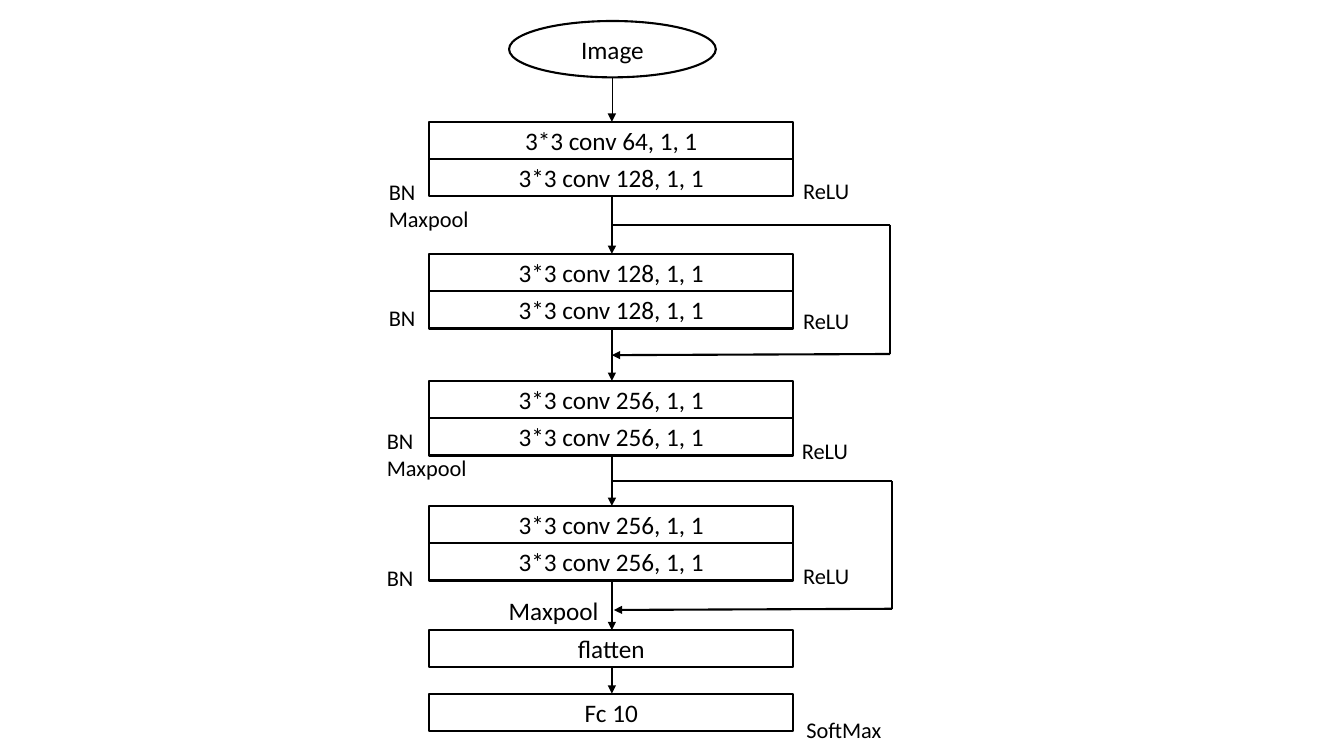
"""Draw a residual convolutional network as a vertical flow chart."""
from lxml.etree import SubElement
from pptx import Presentation
from pptx.dml.color import RGBColor
from pptx.enum.shapes import MSO_CONNECTOR as Link, MSO_SHAPE as Preset
from pptx.enum.text import MSO_ANCHOR as Anchor, MSO_AUTO_SIZE as Fit, PP_ALIGN as Align
from pptx.oxml.ns import qn
from pptx.util import Cm, Pt

THEME = {
    "ink": RGBColor(0, 0, 0),
    "paper": RGBColor(255, 255, 255),
    "font": "Calibri",
    "layer": Pt(18),
    "label": Pt(16),
    "line": Pt(1.5),
    "thin": Pt(0.5),
}
CENTER, LAYER_WIDTH, LAYER_HEIGHT = 15.42, 9.17, 0.94
LAYER_LEFT = 10.82

deck = Presentation()
deck.slide_width, deck.slide_height = Cm(33.87), Cm(19.05)
page = deck.slides.add_slide(deck.slide_layouts[6])


def write(box, text, size, align, frame_format):
    frame = box.text_frame
    for name, value in frame_format.items():
        setattr(frame, name, value)
    frame.text = text
    font_format = {"name": THEME["font"], "size": size}
    for para in frame.paragraphs:
        para.alignment = align
        for span in para.runs:
            for name, value in font_format.items():
                setattr(span.font, name, value)
            span.font.color.rgb = THEME["ink"]


def connect(start, end, arrow=True, width=THEME["line"]):
    line = page.shapes.add_connector(Link.STRAIGHT, *map(Cm, start + end))
    line.line.color.rgb = THEME["ink"]
    line.line.width = width
    if arrow:
        SubElement(line.line._get_or_add_ln(), qn("a:tailEnd"), type="triangle")
    SubElement(line._element.spPr, qn("a:effectLst"))


blocks = [
    (3.07, ["3*3 conv 64, 1, 1", "3*3 conv 128, 1, 1"]),
    (6.4, ["3*3 conv 128, 1, 1"] * 2),
    (9.6, ["3*3 conv 256, 1, 1"] * 2),
    (12.75, ["3*3 conv 256, 1, 1"] * 2),
    (15.88, ["flatten"]),
    (17.48, ["Fc 10"]),
]
image_top, image_height = 0.53, 1.42
nodes = [(Preset.OVAL, "Image", 12.83, image_top, 5.21, image_height)]
flows = []
bottom = image_top + image_height
for top, layers in blocks:
    flows.append((bottom, top))
    for row, layer in enumerate(layers):
        nodes.append((Preset.RECTANGLE, layer, LAYER_LEFT, top + row * LAYER_HEIGHT,
                      LAYER_WIDTH, LAYER_HEIGHT))
    bottom = top + len(layers) * LAYER_HEIGHT

for preset, text, *place in nodes:
    node = page.shapes.add_shape(preset, *map(Cm, place))
    node.shadow.inherit = False
    node.fill.solid()
    node.fill.fore_color.rgb = THEME["paper"]
    node.line.color.rgb = THEME["ink"]
    node.line.width = THEME["line"]
    write(node, text, THEME["layer"], Align.CENTER,
          {"vertical_anchor": Anchor.MIDDLE, "margin_top": 0, "margin_bottom": 0})

for index, (start, end) in enumerate(flows):
    connect((CENTER, start), (CENTER, end),
            width=THEME["line"] if index else THEME["thin"])

skips = [(5.66, 8.92, 22.43, CENTER), (12.12, 15.34, 22.48, 15.47)]
for branch, join, side, target in skips:
    connect((CENTER, branch), (side, branch), arrow=False)
    connect((side, branch), (side, join), arrow=False)
    connect((side, join), (target, join + 0.03))

labels = [
    ("BN\nMaxpool", 9.55, 4.37, 2.54, 1.63, "label"),
    ("BN", 9.55, 7.54, 1.19, 0.94, "label"),
    ("BN\nMaxpool", 9.5, 10.64, 2.54, 1.63, "label"),
    ("BN", 9.5, 14.1, 1.19, 0.94, "label"),
    ("ReLU", 19.99, 4.34, 1.7, 0.94, "label"),
    ("ReLU", 19.99, 7.62, 1.7, 0.94, "label"),
    ("ReLU", 19.96, 10.9, 1.7, 0.94, "label"),
    ("ReLU", 19.99, 14.05, 1.7, 0.94, "label"),
    ("Maxpool", 12.57, 14.88, 2.79, 1.02, "layer"),
    ("SoftMax", 20.07, 17.93, 2.44, 0.94, "label"),
]
for text, left, top, width, height, size in labels:
    label = page.shapes.add_textbox(*map(Cm, (left, top, width, height)))
    write(label, text, THEME[size], Align.LEFT,
          {"word_wrap": False, "auto_size": Fit.SHAPE_TO_FIT_TEXT})

deck.save("out.pptx")
